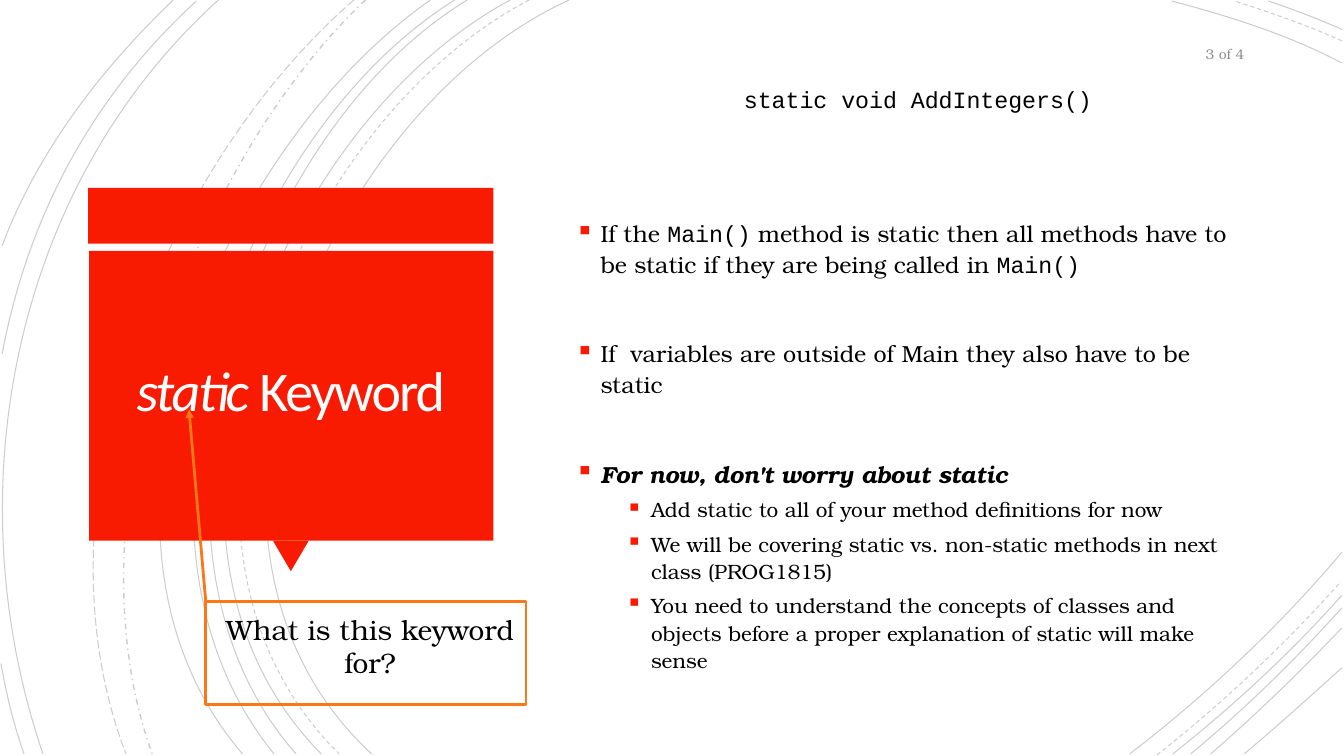
from dataclasses import dataclass
from lxml import etree
from pptx import Presentation
from pptx import util as u
from pptx.dml.color import RGBColor
from pptx.enum import dml, shapes, text
from pptx.oxml.ns import qn

PX = 9525


@dataclass(frozen=True)
class Theme:
    red: str = "F81B02"
    orange: str = "FC7715"
    ink: str = "000000"
    pale: str = "FFFEFF"
    grey: str = "8C8C8C"
    serif: str = "TeX Gyre Bonum"
    sans: str = "Calibri"
    mono: str = "Courier New"
    title: float = 40
    callout: float = 20
    body: float = 16.6
    detail: float = 14.8
    page: float = 10
    hairline: float = 0.75
    rule: float = 2


THEME = Theme()
DASH = dml.MSO_LINE
ALIGN = text.PP_ALIGN
ANCHOR = text.MSO_ANCHOR

SWEEPS = [
    ((542, 0), (302, 110), (137, 518), (354, 718)),
    ((1278, 60), (1227, 33), (1169, 15), (1116, 1)),
    ((1076, 718), (1149, 662), (1218, 597), (1278, 526)),
    ((486, 0), (259, 122), (106, 516), (306, 718)),
    ((1278, 28), (1255, 18), (1232, 9), (1208, 1)),
    ((1117, 718), (1174, 673), (1229, 622), (1278, 567)),
    ((445, 0), (234, 128), (106, 519), (282, 718)),
    ((1134, 718), (1185, 676), (1233, 629), (1278, 579)),
    ((433, 0), (222, 132), (93, 512), (261, 718)),
    ((1153, 718), (1196, 681), (1238, 640), (1278, 598)),
    ((410, 0), (208, 141), (51, 508), (231, 718)),
    ((1185, 718), (1216, 692), (1247, 664), (1278, 636)),
    ((208, 0), (11, 178), (-44, 470), (41, 718)),
    ((187, 1), (88, 92), (27, 205), (2, 337)),
    ((1, 632), (6, 661), (13, 690), (23, 718)),
    ((165, 0), (96, 66), (36, 144), (2, 234)),
]
DASHED_SWEEPS = [
    ((504, 0), (274, 120), (118, 516), (323, 718)),
    ((1278, 39), (1245, 24), (1210, 12), (1176, 1)),
    ((1102, 719), (1164, 670), (1224, 614), (1277, 554)),
]
DOTTED_SWEEP = ((348, 0), (180, 159), (62, 489), (145, 718))
LONG_DASHED_SWEEP = ((337, 0), (151, 162), (28, 479), (120, 718))

POINTS = [
    (74, [("If the ", THEME.serif), ("Main()", THEME.mono),
          (" method is static then all methods have to be static"
           " if they are being called in ", THEME.serif),
          ("Main()", THEME.mono)]),
    (42, [("If  variables are outside of Main they also have to be static",
           THEME.serif)]),
]
DETAILS = [
    "Add static to all of your method definitions for now",
    "We will be covering static vs. non-static methods in next class (PROG1815)",
    "You need to understand the concepts of classes and objects before"
    " a proper explanation of static will make sense",
]


def px(*lengths):
    return [length * PX for length in lengths]


def rgb(colour):
    return RGBColor.from_string(colour)


def sweep(slide, curve, dash=DASH.SOLID, width=THEME.hairline):
    start, *rest = curve
    builder = slide.shapes.build_freeform(*start, scale=PX)
    builder.add_line_segments(rest, close=False)
    arc = builder.convert_to_shape()
    arc.shadow.inherit = False
    arc.fill.background()
    arc.line.color.rgb = rgb(THEME.ink)
    arc.line.width = u.Pt(width)
    arc.line.dash_style = dash
    ink = arc.line._ln.find(".//" + qn("a:srgbClr"))
    etree.SubElement(ink, qn("a:alpha"), val="20000")
    outline = next(arc._element.iter(qn("a:path")))
    bezier = etree.SubElement(outline, qn("a:cubicBezTo"))
    for segment in outline.findall(qn("a:lnTo")):
        bezier.append(segment[0])
        outline.remove(segment)


def panel(slide, kind, box, fill=None, border=None):
    block = slide.shapes.add_shape(kind, *px(*box))
    block.shadow.inherit = False
    if fill:
        block.fill.solid()
        block.fill.fore_color.rgb = rgb(fill)
    else:
        block.fill.background()
    if border:
        block.line.color.rgb = rgb(border)
        block.line.width = u.Pt(THEME.rule)
    else:
        block.line.fill.background()
    return block


def set_frame(holder, anchor, insets=(10, 5, 10, 5)):
    frame = holder.text_frame
    frame.word_wrap = True
    frame.vertical_anchor = anchor
    (frame.margin_left, frame.margin_top,
     frame.margin_right, frame.margin_bottom) = px(*insets)
    return frame


def add_run(paragraph, words, font, size, colour=THEME.ink, bold=False,
            italic=False, spacing=None):
    run = paragraph.add_run()
    run.text = words
    run.font.name = font
    run.font.size = u.Pt(size)
    run.font.color.rgb = rgb(colour)
    run.font.bold = bold
    run.font.italic = italic
    if spacing:
        run._r.get_or_add_rPr().set("spc", str(spacing))


def indent(paragraph, left, first=0):
    props = paragraph._p.get_or_add_pPr()
    props.set("marL", str(left * PX))
    props.set("indent", str(first * PX))
    return props


def add_bullet(frame, before, level=0):
    point = frame.add_paragraph()
    point.level = level
    point.alignment = ALIGN.LEFT
    point.line_spacing = 1.1
    point.space_before = u.Pt(before)
    props = indent(point, 24 + 48 * level, -24)
    tint = etree.SubElement(props, qn("a:buClr"))
    etree.SubElement(tint, qn("a:srgbClr"), val=THEME.red)
    etree.SubElement(props, qn("a:buSzPct"), val="110000")
    etree.SubElement(props, qn("a:buChar"), char="▪")
    return point


def add_arrow(slide, start, end):
    arrow = slide.shapes.add_connector(
        shapes.MSO_CONNECTOR.STRAIGHT, *px(*start, *end))
    arrow.line.color.rgb = rgb(THEME.orange)
    arrow.line.width = u.Pt(THEME.rule)
    etree.SubElement(arrow.line._ln, qn("a:tailEnd"), type="triangle")
    etree.SubElement(arrow._element.spPr, qn("a:effectLst"))


def add_backdrop(slide):
    for curve in SWEEPS:
        sweep(slide, curve)
    for curve in DASHED_SWEEPS:
        sweep(slide, curve, DASH.DASH)
    sweep(slide, DOTTED_SWEEP, DASH.DASH_DOT, 1)
    sweep(slide, LONG_DASHED_SWEEP, DASH.LONG_DASH)


def add_title(slide):
    kinds = shapes.MSO_SHAPE
    panel(slide, kinds.RECTANGLE, (84, 179, 386, 53), THEME.red)
    pointer = panel(slide, kinds.ISOSCELES_TRIANGLE, (260, 515, 34, 29), THEME.red)
    pointer.rotation = 180
    panel(slide, kinds.RECTANGLE, (85, 239, 385, 276), THEME.red)
    title = slide.shapes.add_textbox(*px(93, 247, 368, 258))
    heading = set_frame(title, ANCHOR.MIDDLE, (24,) * 4).paragraphs[0]
    heading.alignment = ALIGN.CENTER
    heading.line_spacing = 0.85
    for words, italic in (("static", True), (" Keyword", False)):
        add_run(heading, words, THEME.sans, THEME.title, THEME.pale,
                italic=italic, spacing=-150)


def add_body(slide):
    body = slide.shapes.add_textbox(*px(538, 84, 660, 551))
    frame = set_frame(body, ANCHOR.MIDDLE)
    signature = frame.paragraphs[0]
    signature.alignment = ALIGN.CENTER
    signature.line_spacing = 1.1
    signature.space_before = u.Pt(10)
    indent(signature, 12)
    add_run(signature, "static void AddIntegers()", THEME.mono, THEME.body)
    for before, runs in POINTS:
        point = add_bullet(frame, before)
        for words, font in runs:
            add_run(point, words, font, THEME.body)
    add_run(add_bullet(frame, 42), "For now, don't worry about static",
            THEME.serif, THEME.body, bold=True, italic=True)
    for words in DETAILS:
        add_run(add_bullet(frame, 5, 1), words, THEME.serif, THEME.detail)


def add_callout(slide):
    callout = panel(slide, shapes.MSO_SHAPE.RECTANGLE, (196, 573, 305, 98),
                    border=THEME.orange)
    question = set_frame(callout, ANCHOR.TOP, (6, 10, 10, 5)).paragraphs[0]
    question.alignment = ALIGN.CENTER
    indent(question, 12)
    add_run(question, "What is this keyword for?", THEME.serif, THEME.callout)
    add_arrow(slide, (196, 573), (180, 390))


def add_page_number(slide):
    corner = slide.shapes.add_textbox(*px(1099, 34, 96, 34))
    number = set_frame(corner, ANCHOR.MIDDLE).paragraphs[0]
    number.alignment = ALIGN.RIGHT
    add_run(number, "3 of 4", THEME.serif, THEME.page, THEME.grey)


def main():
    deck = Presentation()
    deck.slide_width, deck.slide_height = px(1280, 720)
    slide = deck.slides.add_slide(deck.slide_layouts[6])
    add_backdrop(slide)
    add_title(slide)
    add_body(slide)
    add_callout(slide)
    add_page_number(slide)
    deck.save("out.pptx")


if __name__ == "__main__":
    main()
